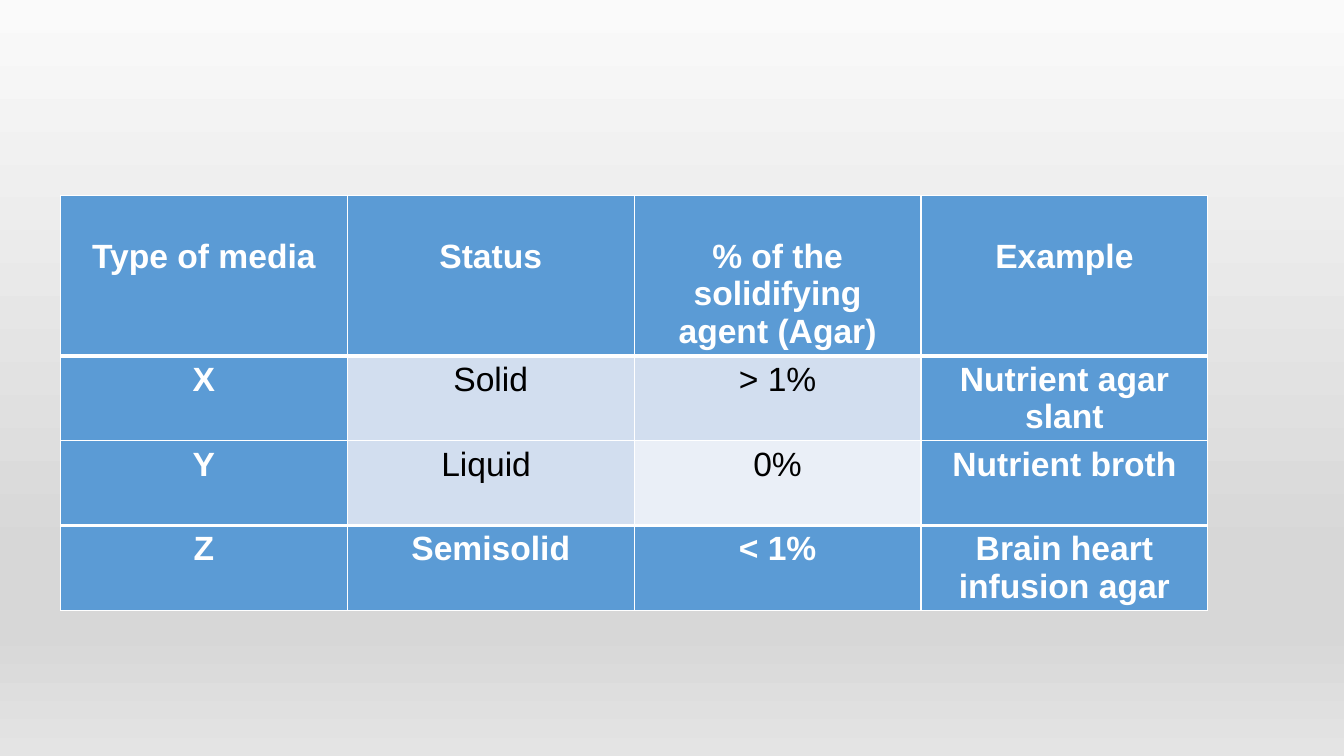
from lxml import etree
from pptx import Presentation
from pptx.dml.color import RGBColor
from pptx.enum.text import PP_ALIGN
from pptx.oxml.ns import qn
from pptx.util import Inches, Pt

CENTER = PP_ALIGN.CENTER
BLANK_LAYOUT = 6
WHITE, BLACK = "FFFFFF", "000000"
BLUE, LIGHT, PALE = "5B9BD5", "D2DEEF", "EAEFF7"

MEDIA_ROWS = [
    ["Type of media", "Status", "% of the solidifying agent (Agar)", "Example"],
    ["X", "Solid", "> 1%", "Nutrient agar slant"],
    ["Y", "Liquid ", "0%", "Nutrient broth"],
    ["Z", "Semisolid", "< 1%", "Brain heart infusion agar"],
]
BODY_FILLS = {(1, 1): LIGHT, (1, 2): LIGHT, (2, 1): LIGHT, (2, 2): PALE}
ROW_HEIGHTS = [1.59, 0.84, 0.84, 0.84]
THICK_RULES = (1, 3)
BACKGROUND_STOPS = [(0, "FAFAFA"), (74, "D7D7D7"), (83, "D7D7D7"), (100, "E4E4E4")]


def color(value):
    return RGBColor.from_string(value)


class SlideBuilder:
    font_name = "Arial"
    font_size = Pt(24)

    def __init__(self, presentation):
        self.slide = presentation.slides.add_slide(presentation.slide_layouts[BLANK_LAYOUT])

    def background(self, stops):
        fill = self.slide.background.fill
        fill.gradient()
        fill.gradient_angle = 270
        stop_list = self.slide.element.find(".//" + qn("a:gsLst"))
        stop_list.clear()
        for percent, value in stops:
            stop = etree.SubElement(stop_list, qn("a:gs"), pos=str(percent * 1000))
            etree.SubElement(stop, qn("a:srgbClr"), val=value)

    def borders(self, cell, top, bottom):
        properties = cell._tc.get_or_add_tcPr()
        for side, points in (("L", 1), ("R", 1), ("T", top), ("B", bottom)):
            line = etree.SubElement(properties, qn("a:ln" + side), w=str(Pt(points)))
            fill = etree.SubElement(line, qn("a:solidFill"))
            etree.SubElement(fill, qn("a:srgbClr"), val=WHITE)

    def cell(self, cell, text, fill):
        cell.fill.solid()
        cell.fill.fore_color.rgb = color(fill)
        cell.text = text
        paragraph = cell.text_frame.paragraphs[0]
        paragraph.alignment = CENTER
        paragraph.font.name = self.font_name
        paragraph.font.size = self.font_size
        paragraph.font.bold = fill == BLUE
        paragraph.font.color.rgb = color(WHITE if fill == BLUE else BLACK)

    def table(self, rows, left, top, width, heights):
        shape = self.slide.shapes.add_table(
            len(rows), len(rows[0]), Inches(left), Inches(top),
            Inches(width), Inches(sum(heights)))
        table = shape.table
        for row, height in zip(table.rows, heights):
            row.height = Inches(height)
        for row_index, texts in enumerate(rows):
            rules = [3 if edge in THICK_RULES else 1 for edge in (row_index, row_index + 1)]
            for column_index, text in enumerate(texts):
                cell = table.cell(row_index, column_index)
                self.borders(cell, *rules)
                self.cell(cell, text, BODY_FILLS.get((row_index, column_index), BLUE))
                if row_index == 0:
                    cell.margin_top = Inches(0.42)


def main():
    presentation = Presentation()
    presentation.slide_width = Inches(13.33)
    presentation.slide_height = Inches(7.5)
    builder = SlideBuilder(presentation)
    builder.background(BACKGROUND_STOPS)
    builder.table(MEDIA_ROWS, 0.6, 1.94, 11.38, ROW_HEIGHTS)
    presentation.save("out.pptx")


if __name__ == "__main__":
    main()
